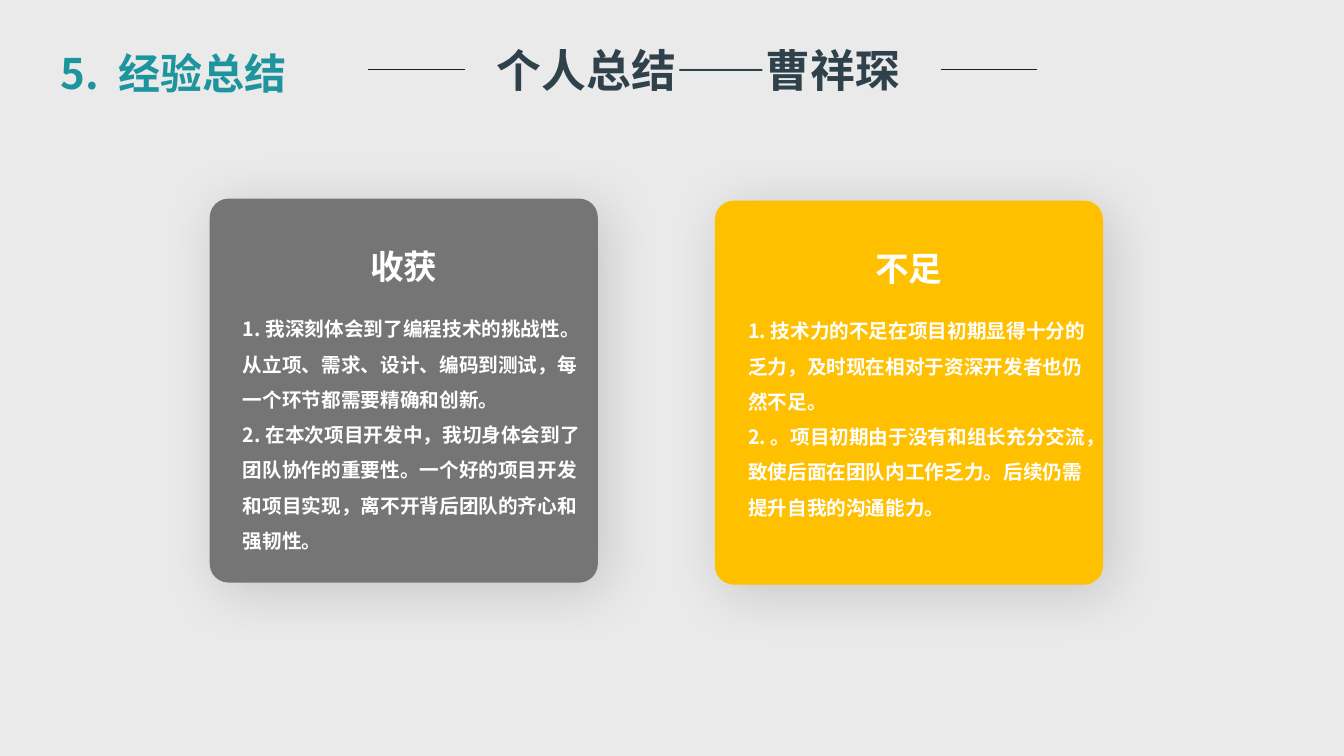
import pptx
import pptx.util
import pptx.dml.color
import pptx.enum.shapes
import pptx.enum.text
import pptx.oxml
import pptx.oxml.ns
from lxml import etree

# Content
SECTION = "5. 经验总结"
HEADING = "个人总结——曹祥琛"
CARDS = [
    {"title": "不足", "fill": "shortfall", "left": 7.09, "top": 1.99, "body_height": 2.08,
     "body": ["1.技术力的不足在项目初期显得十分的乏力，及时现在相对于资深开发者也仍然不足。",
              "2.。项目初期由于没有和组长充分交流，致使后面在团队内工作乏力。后续仍需提升自我的沟通能力。"]},
    {"title": "收获", "fill": "gain", "left": 2.08, "top": 1.97, "body_height": 2.44,
     "body": ["1.我深刻体会到了编程技术的挑战性。从立项、需求、设计、编码到测试，每一个环节都需要精确和创新。",
              "2.在本次项目开发中，我切身体会到了团队协作的重要性。一个好的项目开发和项目实现，离不开背后团队的齐心和强韧性。"]},
]

# Theme
THEME = {
    "font": "Noto Sans CJK SC",
    "colors": {"page": "EAEAEA", "section": "1E959E", "heading": "2F414B", "rule": "1F1F1F",
               "shortfall": "FFC000", "gain": "757575", "text": "FFFFFF"},
    "sizes": {"section": 30, "heading": 32, "title": 24, "body": 14},
}

# Layout in inches
SLIDE = (13.33, 7.5)
RULE_Y, RULE_LENGTH, RULE_STARTS = 0.69, 0.96, (3.65, 9.33)
CARD_SIZE, CARD_RADIUS = (3.85, 3.81), 0.049
TITLE_SIZE, TITLE_DROP = (2.26, 0.6), 0.27
BODY_WIDTH, BODY_INSET, BODY_DROP = 3.41, 0.33, 1.06

SHAPES = pptx.enum.shapes.MSO_SHAPE
ALIGN = pptx.enum.text.PP_ALIGN
inch = pptx.util.Inches


def color(name):
    return pptx.dml.color.RGBColor.from_string(THEME["colors"][name])


def write(box, lines, size, ink, margin=None, **paragraph_format):
    frame = box.text_frame
    settings = {"word_wrap": True, "vertical_anchor": pptx.enum.text.MSO_ANCHOR.TOP,
                "auto_size": pptx.enum.text.MSO_AUTO_SIZE.SHAPE_TO_FIT_TEXT}
    if margin is not None:
        settings.update({f"margin_{side}": margin for side in ("left", "top", "right", "bottom")})
    for key, value in settings.items():
        setattr(frame, key, value)
    for index, line in enumerate(lines):
        para = frame.add_paragraph() if index else frame.paragraphs[0]
        for key, value in paragraph_format.items():
            setattr(para, key, value)
        span = para.add_run()
        span.text = line
        font_format = {"name": THEME["font"], "size": pptx.util.Pt(THEME["sizes"][size]), "bold": True}
        for key, value in font_format.items():
            setattr(span.font, key, value)
        span.font.color.rgb = color(ink)
        east_asian = etree.SubElement(span.font._element, pptx.oxml.ns.qn("a:ea"))
        east_asian.set("typeface", THEME["font"])


def filled(parent, kind, left, top, size, fill):
    shape = parent.shapes.add_shape(kind, *map(inch, (left, top, *size)))
    shape.shadow.inherit = False
    shape.fill.solid()
    shape.fill.fore_color.rgb = color(fill)
    shape.line.fill.background()
    return shape


def cast_shadow(shape):
    effects = shape._element.spPr.find(pptx.oxml.ns.qn("a:effectLst"))
    effects.append(pptx.oxml.parse_xml(
        f'<a:outerShdw {pptx.oxml.ns.nsdecls("a")} blurRad="{pptx.util.Pt(40)}" '
        f'dist="{pptx.util.Pt(8)}" dir="{45 * 60000}" algn="tl" rotWithShape="0">'
        '<a:srgbClr val="000000"><a:alpha val="15000"/></a:srgbClr></a:outerShdw>'))


def add_card(page, card):
    group = page.shapes.add_group_shape()
    left, top, fill = card["left"], card["top"], card["fill"]
    panel = filled(group, SHAPES.ROUNDED_RECTANGLE, left, top, CARD_SIZE, fill)
    panel.adjustments[0] = CARD_RADIUS
    cast_shadow(panel)
    title_left = left + (CARD_SIZE[0] - TITLE_SIZE[0]) / 2
    title = filled(group, SHAPES.RECTANGLE, title_left, top + TITLE_DROP, TITLE_SIZE, fill)
    write(title, [card["title"]], "title", "text", 0, alignment=ALIGN.CENTER, line_spacing=1.5)
    body = filled(group, SHAPES.RECTANGLE, left + BODY_INSET, top + BODY_DROP,
                  (BODY_WIDTH, card["body_height"]), fill)
    write(body, card["body"], "body", "text", 0, alignment=ALIGN.LEFT, line_spacing=1.5)


def main():
    deck = pptx.Presentation()
    deck.slide_width, deck.slide_height = map(inch, SLIDE)
    page = deck.slides.add_slide(deck.slide_layouts[6])
    page.background.fill.solid()
    page.background.fill.fore_color.rgb = color("page")

    # Header
    section = page.shapes.add_textbox(*map(inch, (0.5, 0.42, 2.75, 0.61)))
    write(section, [SECTION], "section", "section")
    for start in RULE_STARTS:
        rule = page.shapes.add_connector(pptx.enum.shapes.MSO_CONNECTOR.STRAIGHT, *map(
            inch, (start + RULE_LENGTH, RULE_Y, start, RULE_Y)))
        rule.line.color.rgb = color("rule")
        rule.line.width = pptx.util.Pt(0.5)
        etree.SubElement(rule._element.spPr, pptx.oxml.ns.qn("a:effectLst"))
    heading = page.shapes.add_textbox(*map(inch, (4.83, 0.37, 6.67, 0.64)))
    write(heading, [HEADING], "heading", "heading")

    # Cards
    for card in CARDS:
        add_card(page, card)
    deck.save("out.pptx")


if __name__ == "__main__":
    main()
